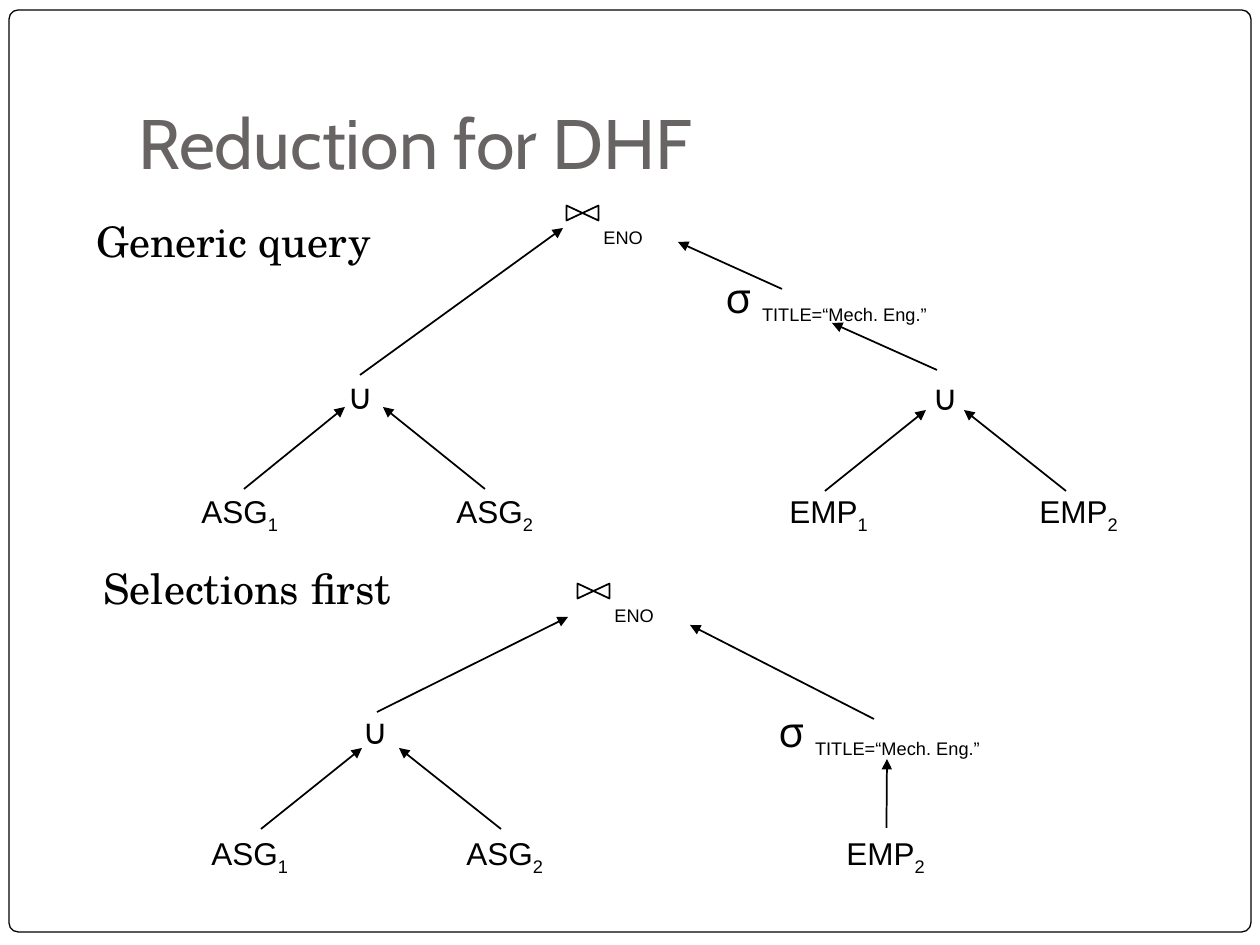
from typing import NamedTuple

from lxml import etree
from pptx import Presentation
from pptx.dml.color import RGBColor
from pptx.enum.shapes import MSO_CONNECTOR, MSO_SHAPE
from pptx.enum.text import MSO_ANCHOR, MSO_AUTO_SIZE
from pptx.oxml.ns import qn
from pptx.util import Emu, Inches, Pt

BLACK = RGBColor(0x00, 0x00, 0x00)
WHITE = RGBColor(0xFF, 0xFF, 0xFF)
TITLE_GREY = RGBColor(0x69, 0x64, 0x64)

STRAIGHT = MSO_CONNECTOR.STRAIGHT
ROUNDED, BOWTIE = MSO_SHAPE.ROUNDED_RECTANGLE, MSO_SHAPE.FLOWCHART_COLLATE
TOP, BOTTOM = MSO_ANCHOR.TOP, MSO_ANCHOR.BOTTOM
FIT_TEXT, FIXED = MSO_AUTO_SIZE.SHAPE_TO_FIT_TEXT, MSO_AUTO_SIZE.NONE

BODY, HEADING, TITLE, SYMBOL = "Arial", "TeX Gyre Schola", "Cabin", "Open Sans"
PX_PER_INCH = 126
TOP_SIDE = 0


class Part(NamedTuple):
    text: str
    size: int
    font: str = BODY
    subscript: bool = False


class Box(NamedTuple):
    left: int
    top: int
    width: int
    height: int


class Relation(NamedTuple):
    name: str
    index: str
    box: Box


class Arrow(NamedTuple):
    x1: int
    y1: int
    x2: int
    y2: int


def px(length: int) -> Emu:
    return Emu(round(length * 914400 / PX_PER_INCH))


def add_text(slide, box: Box, *parts: Part, color=BLACK, wrap=False,
             autosize=FIT_TEXT, anchor=TOP, bottom=0.05, spacing=None):
    shape = slide.shapes.add_textbox(*map(px, box))
    frame = shape.text_frame
    frame.word_wrap = wrap
    frame.auto_size = autosize
    frame.vertical_anchor = anchor
    frame.margin_left = frame.margin_right = Inches(0.1)
    frame.margin_top, frame.margin_bottom = Inches(0.05), Inches(bottom)
    paragraph = frame.paragraphs[0]
    if spacing:
        paragraph.line_spacing = spacing
    for part in parts:
        run = paragraph.add_run()
        run.text = part.text
        run.font.size = Pt(part.size)
        run.font.name = part.font
        run.font.color.rgb = color
        if part.subscript:
            run.font._element.set("baseline", "-25000")
    return shape


def add_relation(slide, relation: Relation):
    return add_text(slide, relation.box, Part(relation.name, 18),
                    Part(relation.index, 18, subscript=True))


def add_arrow(slide, arrow: Arrow):
    line = slide.shapes.add_connector(STRAIGHT, *map(px, arrow))
    line.line.color.rgb = BLACK
    line.line.width = Pt(1)
    outline = line.line._get_or_add_ln()
    etree.SubElement(outline, qn("a:tailEnd"), type="triangle")
    etree.SubElement(line._element.spPr, qn("a:effectLst"))
    return line


def add_join(slide, left: int, top: int) -> None:
    add_text(slide, Box(left + 16, top + 2, 71, 38),
             Part("ENO", 18, subscript=True))
    bowtie = slide.shapes.add_shape(BOWTIE, *map(px, Box(left, top, 15, 32)))
    bowtie.rotation = 270
    bowtie.shadow.inherit = False
    bowtie.fill.background()
    bowtie.line.color.rgb = BLACK
    bowtie.line.width = Pt(1)


def add_frame(slide) -> None:
    frame = slide.shapes.add_shape(ROUNDED, *map(px, Box(9, 10, 1242, 932 - 10)))
    frame.adjustments[0] = 0.01
    frame.shadow.inherit = False
    frame.fill.solid()
    frame.fill.fore_color.rgb = WHITE
    frame.line.color.rgb = BLACK
    frame.line.width = Pt(0.75)


HEADINGS = [("Generic query", 84, 194), ("Selections first", 91, 541)]
JOINS = [(575, 197), (586, 575)]
UNIONS = [(335, 368), (920, 369), (350, 703)]
SELECTIONS = [(713, 265), (766, 699)]
RELATIONS = [
    Relation("ASG", "1", Box(189, 486, 103, 50)),
    Relation("ASG", "2", Box(444, 486, 103, 50)),
    Relation("EMP", "1", Box(777, 486, 105, 50)),
    Relation("EMP", "2", Box(1027, 486, 105, 50)),
    Relation("ASG", "1", Box(199, 828, 103, 50)),
    Relation("ASG", "2", Box(454, 828, 103, 50)),
]
SELECTED_EMP = Relation("EMP", "2", Box(834, 828, 105, 50))
ARROWS = [
    # Generic query
    Arrow(244, 489, 345, 407), Arrow(485, 489, 383, 407),
    Arrow(825, 491, 926, 410), Arrow(1066, 491, 964, 410),
    Arrow(937, 370, 832, 323), Arrow(782, 289, 678, 242),
    Arrow(360, 375, 563, 228),
    # Selections first
    Arrow(261, 829, 362, 748), Arrow(501, 829, 399, 748),
    Arrow(377, 712, 568, 617), Arrow(874, 719, 690, 625),
]


def main() -> None:
    presentation = Presentation()
    presentation.slide_width, presentation.slide_height = Inches(10), Inches(7.5)
    slide = presentation.slides.add_slide(presentation.slide_layouts[6])

    # Frame, title and section headings
    add_frame(slide)
    add_text(slide, Box(126, 38, 1071, 158), Part("Reduction for DHF", 40, TITLE),
             color=TITLE_GREY, wrap=True, autosize=FIXED, anchor=BOTTOM, bottom=0.1)
    for heading, left, top in HEADINGS:
        add_text(slide, Box(left, top, 334, 67), Part(heading, 24, HEADING),
                 wrap=True, autosize=FIXED, spacing=1.3)

    # Operators of both query trees
    for left, top in JOINS:
        add_join(slide, left, top)
    for left, top in UNIONS:
        add_text(slide, Box(left, top, 52, 54), Part("∪", 20, SYMBOL))
    for left, top in SELECTIONS:
        add_text(slide, Box(left, top, 251, 63), Part("σ ", 24, SYMBOL),
                 Part("TITLE=“Mech. Eng.”", 18, subscript=True))

    # Relations at the leaves
    for relation in RELATIONS:
        add_relation(slide, relation)
    selected_emp = add_relation(slide, SELECTED_EMP)

    # Data flow
    for arrow in ARROWS:
        add_arrow(slide, arrow)
    emp_arrow = add_arrow(slide, Arrow(887, 828, 887, 759))
    emp_arrow.begin_connect(selected_emp, TOP_SIDE)

    presentation.save("out.pptx")


if __name__ == "__main__":
    main()
